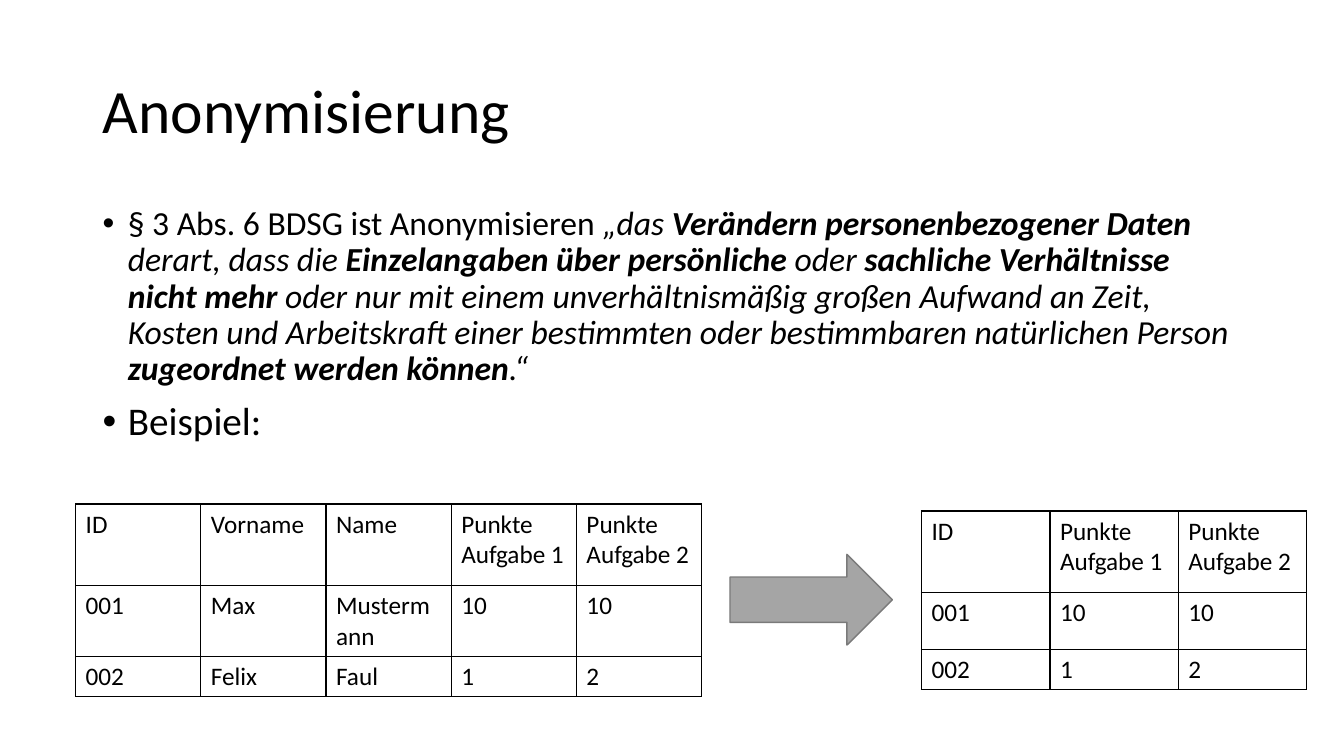
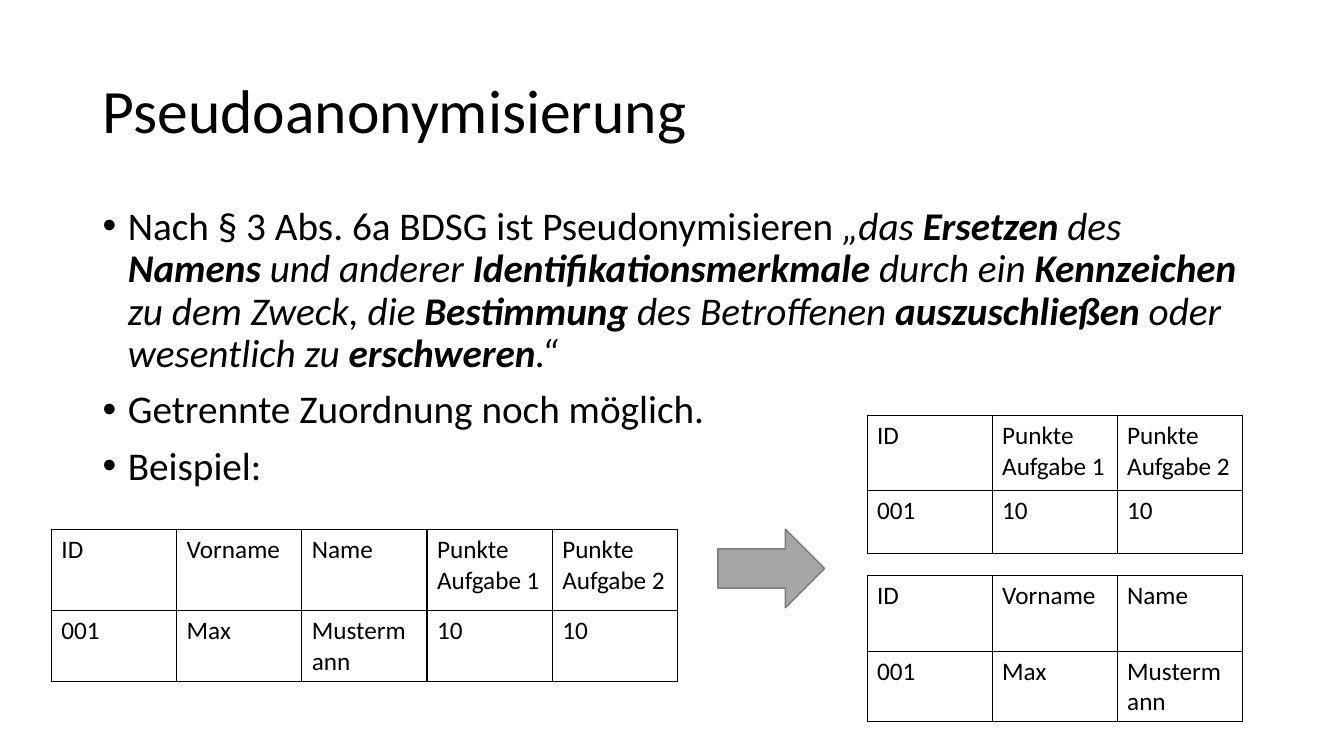
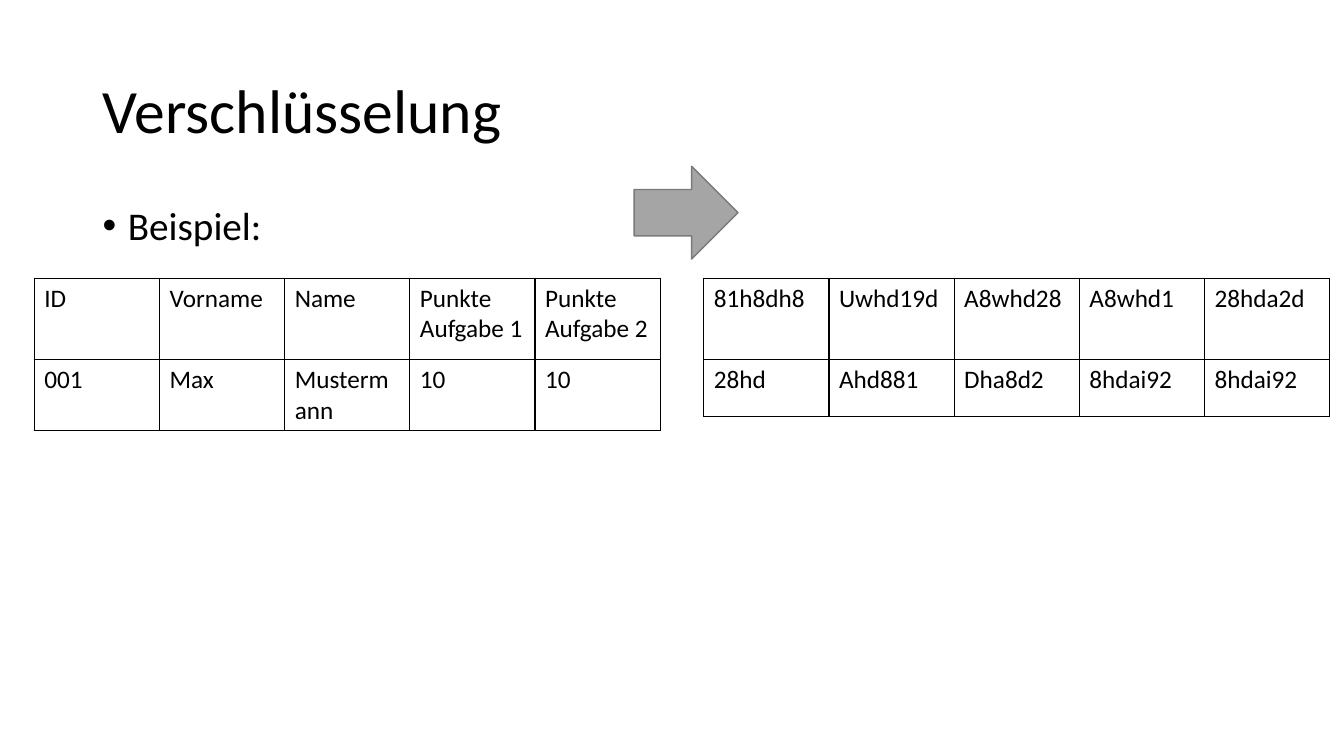
from dataclasses import dataclass
from typing import Any

from lxml.etree import SubElement
from pptx import Presentation
from pptx.dml.color import RGBColor
from pptx.enum.shapes import MSO_SHAPE
from pptx.enum.text import MSO_ANCHOR
from pptx.oxml.ns import qn
from pptx.slide import Slide
from pptx.table import _Cell
from pptx.text.text import TextFrame, _Paragraph
from pptx.util import Inches, Pt

COLORS = {"text": "000000", "border": "000000", "arrow": "A5A5A5", "arrow_line": "7A7A7A"}
FONT = "Calibri"
LINE_WIDTH = Pt(1)
TITLE_BOX = (0.92, 0.4, 11.5, 1.45)
BODY_BOX = (0.92, 2, 11.5, 4.76)
TITLE_FORMAT = {"line_spacing": 0.9}
BULLET_FORMAT = {"line_spacing": 0.9, "space_before": Pt(10)}
BULLET_INDENT = Inches(0.25)
TABLE_FORMAT = {"first_row": False, "horz_banding": False}

POINTS = ["Punkte Aufgabe 1", "Punkte Aufgabe 2"]
PERSON = ["ID", "Vorname", "Name"]
RECORD = PERSON + POINTS
MAX = ["001", "Max", "Mustermann"]
MAX_RECORD = MAX + ["10", "10"]


@dataclass
class Bullet:
    lead: str
    quote: str = ""
    size: int = 28


@dataclass
class Grid:
    left: float
    top: float
    width: float
    heights: list[float]
    rows: list[list[str]]


@dataclass
class Page:
    title: str
    bullets: list[Bullet]
    grids: list[Grid]
    arrow: tuple[float, float, float, float]


EXAMPLE = Bullet("Beispiel:")

PAGES = [
    Page(
        "Anonymisierung",
        [
            Bullet(
                "§ 3 Abs. 6 BDSG ist Anonymisieren\u00a0",
                "„das *Verändern personenbezogener Daten *derart, dass die "
                "*Einzelangaben über persönliche *oder *sachliche Verhältnisse nicht mehr *"
                "oder nur mit einem unverhältnismäßig großen Aufwand an Zeit, Kosten und "
                "Arbeitskraft einer bestimmten oder bestimmbaren natürlichen Person "
                "*zugeordnet werden können*.“",
                24,
            ),
            EXAMPLE,
        ],
        [
            Grid(0.75, 5, 6.21, [0.81, 0.56, 0.32],
                 [RECORD, MAX_RECORD, ["002", "Felix", "Faul", "1", "2"]]),
            Grid(9.14, 5.07, 3.82, [0.81, 0.56, 0.32],
                 [["ID"] + POINTS, ["001", "10", "10"], ["002", "1", "2"]]),
        ],
        (7.24, 5.5, 1.61, 0.9),
    ),
    Page(
        "Pseudoanonymisierung",
        [
            Bullet(
                "Nach § 3 Abs. 6a BDSG ist Pseudonymisieren",
                "\u00a0„das *Ersetzen* des *Namens* und anderer *Identifikationsmerkmale* "
                "durch ein *Kennzeichen *zu dem Zweck, die *Bestimmung* des Betroffenen "
                "*auszuschließen* oder wesentlich zu *erschweren*.“",
            ),
            Bullet("Getrennte Zuordnung noch möglich."),
            EXAMPLE,
        ],
        [
            Grid(0.51, 5.25, 6.21, [0.81, 0.56], [RECORD, MAX_RECORD]),
            Grid(8.6, 4.12, 3.72, [0.75, 0.62], [["ID"] + POINTS, ["001", "10", "10"]]),
            Grid(8.6, 5.71, 3.72, [0.75, 0.62], [PERSON, MAX]),
        ],
        (7.12, 5.25, 1.06, 0.78),
    ),
    Page(
        "Verschlüsselung",
        [EXAMPLE],
        [
            Grid(0.34, 2.76, 6.21, [0.81, 0.56], [RECORD, MAX_RECORD]),
            Grid(6.98, 2.76, 6.21, [0.81, 0.56], [
                ["81h8dh8", "Uwhd19d", "A8whd28", "A8whd1", "28hda2d"],
                ["28hd", "Ahd881", "Dha8d2", "8hdai92", "8hdai92"],
            ]),
        ],
        (6.29, 1.65, 1.03, 0.92),
    ),
]


def color(name: str) -> RGBColor:
    return RGBColor.from_string(COLORS[name])


def apply_format(target: Any, values: dict[str, Any]) -> None:
    for name, value in values.items():
        setattr(target, name, value)


def add_run(paragraph: _Paragraph, text: str, size: int,
            bold: bool = False, italic: bool = False) -> None:
    run = paragraph.add_run()
    run.text = text
    apply_format(run.font, {"name": FONT, "size": Pt(size), "bold": bold, "italic": italic})
    run.font.color.rgb = color("text")


def add_text_frame(slide: Slide, box: tuple[float, ...], anchor: MSO_ANCHOR) -> TextFrame:
    frame = slide.shapes.add_textbox(*map(Inches, box)).text_frame
    apply_format(frame, {"word_wrap": True, "vertical_anchor": anchor})
    return frame


def add_title(slide: Slide, title: str) -> None:
    paragraph = add_text_frame(slide, TITLE_BOX, MSO_ANCHOR.MIDDLE).paragraphs[0]
    apply_format(paragraph, TITLE_FORMAT)
    add_run(paragraph, title, 44)


def add_bullets(slide: Slide, bullets: list[Bullet]) -> None:
    frame = add_text_frame(slide, BODY_BOX, MSO_ANCHOR.TOP)
    for index, bullet in enumerate(bullets):
        paragraph = frame.add_paragraph() if index else frame.paragraphs[0]
        apply_format(paragraph, BULLET_FORMAT)
        properties = paragraph._p.get_or_add_pPr()
        properties.set("marL", str(BULLET_INDENT))
        properties.set("indent", str(-BULLET_INDENT))
        SubElement(properties, qn("a:buFont"), typeface="Arial")
        SubElement(properties, qn("a:buChar"), char="•")
        add_run(paragraph, bullet.lead, bullet.size)
        for part, text in enumerate(bullet.quote.split("*")):
            if text:
                add_run(paragraph, text, bullet.size, bold=part % 2 == 1, italic=True)


def add_borders(cell: _Cell) -> None:
    properties = cell._tc.get_or_add_tcPr()
    for side in ("lnL", "lnR", "lnT", "lnB"):
        line = SubElement(properties, qn(f"a:{side}"), w=str(LINE_WIDTH))
        fill = SubElement(line, qn("a:solidFill"))
        SubElement(fill, qn("a:srgbClr"), val=COLORS["border"])


def add_grid(slide: Slide, grid: Grid) -> None:
    column_count = len(grid.rows[0])
    table = slide.shapes.add_table(
        len(grid.rows), column_count, Inches(grid.left), Inches(grid.top),
        Inches(grid.width), Inches(sum(grid.heights)),
    ).table
    apply_format(table, TABLE_FORMAT)
    for column in table.columns:
        column.width = Inches(grid.width / column_count)
    for row, height, texts in zip(table.rows, grid.heights, grid.rows):
        row.height = Inches(height)
        for cell, text in zip(row.cells, texts):
            add_borders(cell)
            cell.fill.background()
            add_run(cell.text_frame.paragraphs[0], text, 18)


def add_arrow(slide: Slide, box: tuple[float, ...]) -> None:
    arrow = slide.shapes.add_shape(MSO_SHAPE.RIGHT_ARROW, *map(Inches, box))
    arrow.shadow.inherit = False
    arrow.fill.solid()
    arrow.fill.fore_color.rgb = color("arrow")
    arrow.line.color.rgb = color("arrow_line")
    arrow.line.width = LINE_WIDTH


def add_page(presentation: Presentation, page: Page) -> None:
    slide = presentation.slides.add_slide(presentation.slide_layouts[6])
    add_title(slide, page.title)
    add_bullets(slide, page.bullets)
    for grid in page.grids:
        add_grid(slide, grid)
    add_arrow(slide, page.arrow)


def main() -> None:
    presentation = Presentation()
    apply_format(presentation, {"slide_width": Inches(13.33), "slide_height": Inches(7.5)})
    for page in PAGES:
        add_page(presentation, page)
    presentation.save("out.pptx")


main()
